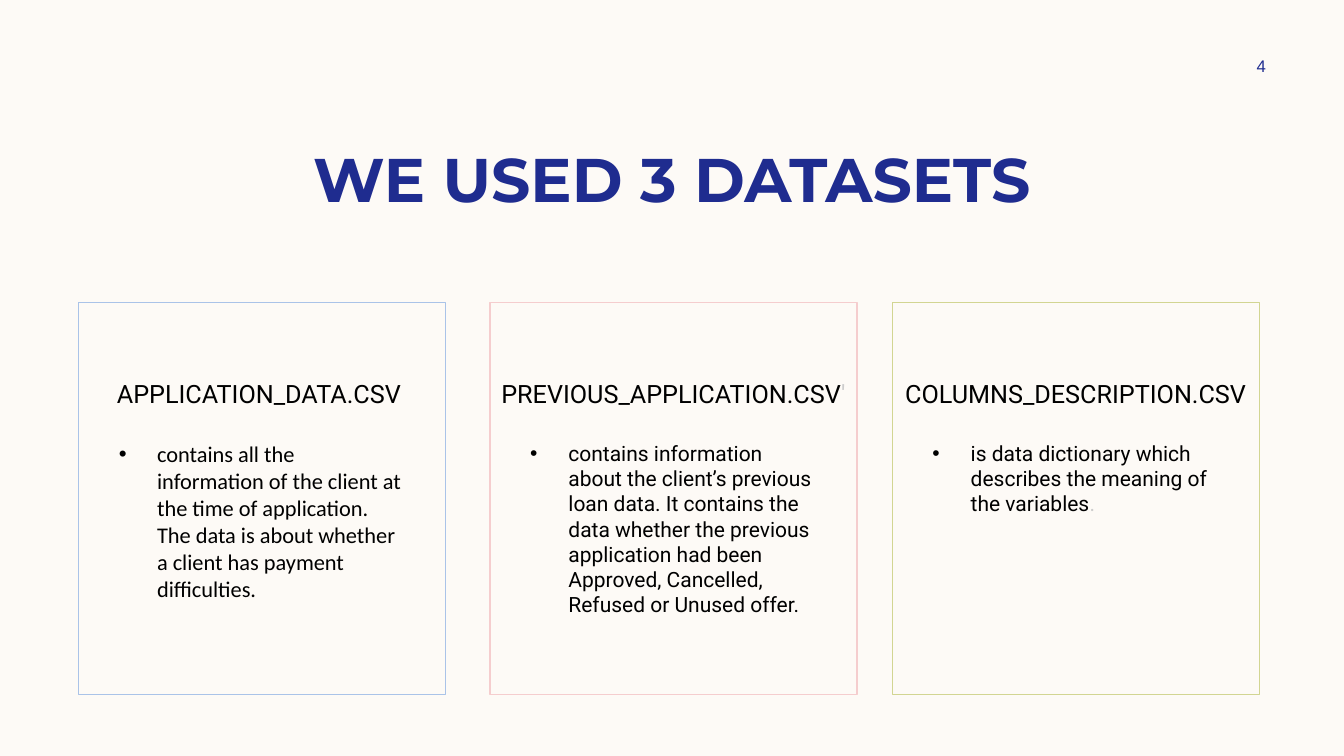
import lxml.etree
import pptx
import pptx.dml.color
import pptx.enum.shapes
import pptx.enum.text
import pptx.oxml.ns
import pptx.util
from pptx.util import Inches

COLORS = {
    "cream": "FDFAF6", "navy": "1F2C8F", "black": "000000", "gray": "CCCCCC",
    "blue": "AAC3E8", "pink": "F5CDCE", "green": "D2D592",
}
CENTER = pptx.enum.text.PP_ALIGN.CENTER
MIDDLE = pptx.enum.text.MSO_ANCHOR.MIDDLE


def color(name):
    return pptx.dml.color.RGBColor.from_string(COLORS[name])


def write(para, size, font, *spans):
    """Fill a paragraph with (text, colour name) spans in one font."""
    para.font.size = pptx.util.Pt(size)
    para.font.name = font
    for text, color_name in spans:
        span = para.add_run()
        span.text = text
        span.font.color.rgb = color(color_name)


deck = pptx.Presentation()
deck.slide_width, deck.slide_height = Inches(13.33), Inches(7.5)
page = deck.slides.add_slide(deck.slide_layouts[6])
page.background.fill.solid()
page.background.fill.fore_color.rgb = color("cream")

# Title and page number
title = page.shapes.add_textbox(Inches(0.83), Inches(1.35), Inches(11.67), Inches(0.84))
number = page.shapes.add_textbox(Inches(11.97), Inches(0.5), Inches(1.08), Inches(0.3))
for box, text, size, font in (
    (title, "WE USED 3 DATASETS", 44, "Montserrat"),
    (number, "4", 12, "Arial"),
):
    box.text_frame.word_wrap = True
    para = box.text_frame.paragraphs[0]
    para.alignment = CENTER
    write(para, size, font, (text, "navy"))
title.text_frame.paragraphs[0].font.bold = True
number.text_frame.vertical_anchor = MIDDLE

# Dataset cards: left, outline, heading spans, body size, body font, body spans
cards = [
    (0.78, "blue", [("APPLICATION_DATA.CSV ", "black")], 16, "Calibri",
     [("contains all the information of the client at the time of application. "
       "The data is about whether a client has payment difficulties.", "black")]),
    (4.86, "pink", [("PREVIOUS_APPLICATION.CSV", "black"), ("' ", "gray")], 15, "Roboto",
     [("contains information about the client’s previous loan data. It contains the "
       "data whether the previous application had been Approved, Cancelled, "
       "Refused or Unused offer.", "black")]),
    (8.85, "green", [("COLUMNS_DESCRIPTION.CSV", "black")], 15, "Roboto",
     [("is data dictionary which describes the meaning of the variables", "black"),
      (".", "gray")]),
]
for left, outline, heading, size, font, body in cards:
    # Outlined card with its heading
    card = page.shapes.add_shape(
        pptx.enum.shapes.MSO_SHAPE.RECTANGLE,
        Inches(left), Inches(3), Inches(3.64), Inches(3.89))
    card.shadow.inherit = False
    card.fill.background()
    card.line.color.rgb = color(outline)
    card.line.width = pptx.util.Pt(1)
    frame = card.text_frame
    frame.word_wrap = True
    frame.vertical_anchor = pptx.enum.text.MSO_ANCHOR.TOP
    frame.margin_top = Inches(0.75)
    frame.paragraphs[0].alignment = CENTER
    write(frame.paragraphs[0], 18, "Roboto", *heading)

    # Bulleted description
    box = page.shapes.add_textbox(
        Inches(left + 0.3), Inches(4.32), Inches(3.03), Inches(2.41))
    box.text_frame.word_wrap = True
    para = box.text_frame.paragraphs[0]
    properties = para._p.get_or_add_pPr()
    properties.set("marL", str(Inches(0.38)))
    properties.set("indent", str(-Inches(0.38)))
    bullet_font = lxml.etree.SubElement(properties, pptx.oxml.ns.qn("a:buFont"))
    bullet_font.set("typeface", "Arial")
    bullet = lxml.etree.SubElement(properties, pptx.oxml.ns.qn("a:buChar"))
    bullet.set("char", "•")
    write(para, size, font, *body)

deck.save("out.pptx")
